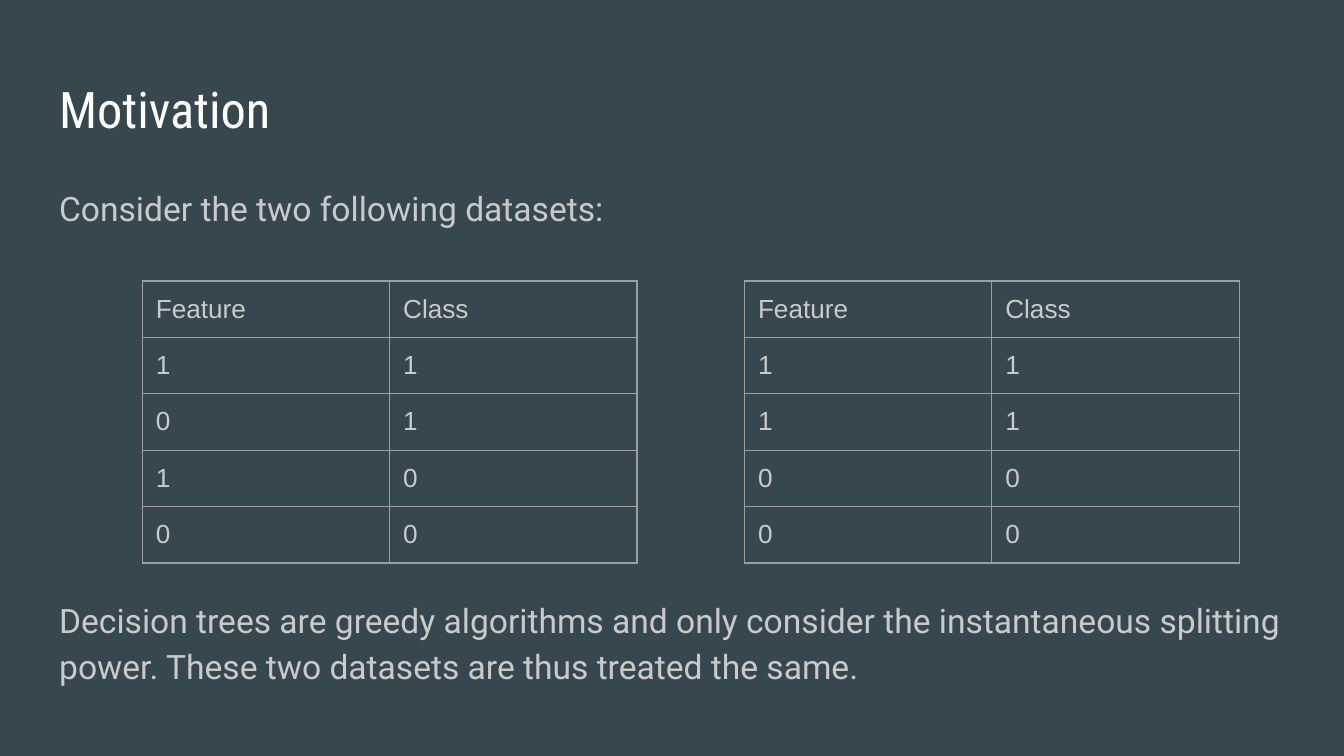
from lxml.etree import SubElement
from pptx import Presentation
from pptx.dml.color import RGBColor
from pptx.enum.text import MSO_ANCHOR, MSO_AUTO_SIZE, PP_ALIGN
from pptx.oxml import parse_xml
from pptx.oxml.ns import nsdecls, qn
from pptx.util import Inches, Pt

BACKGROUND, WHITE, GREY, RULE = "37474F", "FFFFFF", "CACACA", "9E9E9E"
HEADER = ("Feature", "Class")
MIXED = [HEADER, (1, 1), (0, 1), (1, 0), (0, 0)]
SEPARATED = [HEADER, (1, 1), (1, 1), (0, 0), (0, 0)]
INTRO = "Consider the two following datasets:"
CONCLUSION = (
    "Decision trees are greedy algorithms and only consider the instantaneous "
    "splitting power. These two datasets are thus treated the same."
)


def color(code):
    return RGBColor.from_string(code)


def add_run(paragraph, text, font, size, code):
    run = paragraph.add_run()
    run.text = text
    run.font.name = font
    run.font.size = Pt(size)
    run.font.bold = False
    run.font.color.rgb = color(code)


def place(placeholder, left, top, width, height, anchor):
    placeholder.left, placeholder.top = Inches(left), Inches(top)
    placeholder.width, placeholder.height = Inches(width), Inches(height)
    frame = placeholder.text_frame
    frame.margin_left = frame.margin_right = Inches(0.1)
    frame.margin_top = frame.margin_bottom = Inches(0.1)
    frame.word_wrap = True
    frame.auto_size = MSO_AUTO_SIZE.NONE
    frame.vertical_anchor = anchor
    return frame


def fill_title(slide, left, top, width, height):
    frame = place(slide.shapes.title, left, top, width, height, MSO_ANCHOR.MIDDLE)
    heading = frame.paragraphs[0]
    heading.alignment = PP_ALIGN.LEFT
    add_run(heading, "Motivation", "Roboto Condensed", 27, WHITE)


def fill_body(slide, left, top, width, height):
    frame = place(slide.placeholders[1], left, top, width, height, MSO_ANCHOR.TOP)
    intro, conclusion = frame.paragraphs[0], frame.add_paragraph()
    for paragraph, text, gap in ((intro, INTRO, 0), (conclusion, CONCLUSION, 196)):
        paragraph.line_spacing = 1.15
        paragraph.space_before = Pt(gap)
        properties = paragraph._p.get_or_add_pPr()
        properties.set("marL", "0")
        properties.set("indent", "0")
        SubElement(properties, qn("a:buNone"))
        add_run(paragraph, text, "Roboto", 18, GREY)


def draw_borders(cell):
    properties = cell._tc.get_or_add_tcPr()
    for position, side in enumerate(("lnL", "lnR", "lnT", "lnB")):
        border = parse_xml(
            f'<a:{side} {nsdecls("a")} w="{Pt(0.75)}"><a:solidFill>'
            f'<a:srgbClr val="{RULE}"/></a:solidFill></a:{side}>'
        )
        properties.insert(position, border)


def add_dataset(slide, rows, left, top, column_width, row_height):
    columns = len(rows[0])
    table = slide.shapes.add_table(
        len(rows), columns, Inches(left), Inches(top),
        Inches(column_width * columns), Inches(row_height * len(rows)),
    ).table
    table.first_row = table.horz_banding = False
    for row, values in enumerate(rows):
        for column, value in enumerate(values):
            cell = table.cell(row, column)
            cell.margin_left = cell.margin_right = Inches(0.1)
            cell.margin_top = cell.margin_bottom = Inches(0.1)
            cell.fill.background()
            draw_borders(cell)
            add_run(cell.text_frame.paragraphs[0], str(value), "Arial", 14, GREY)


def main():
    deck = Presentation()
    deck.slide_width, deck.slide_height = Pt(720), Pt(405)
    slide = deck.slides.add_slide(deck.slide_layouts[1])
    slide.background.fill.solid()
    slide.background.fill.fore_color.rgb = color(BACKGROUND)
    fill_title(slide, 0.34, 0.49, 9.32, 0.63)
    fill_body(slide, 0.34, 1.25, 9.32, 3.74)
    for rows, left in ((MIXED, 1.06), (SEPARATED, 5.54)):
        add_dataset(slide, rows, left, 2.09, 1.84, 0.42)
    deck.save("out.pptx")


if __name__ == "__main__":
    main()
